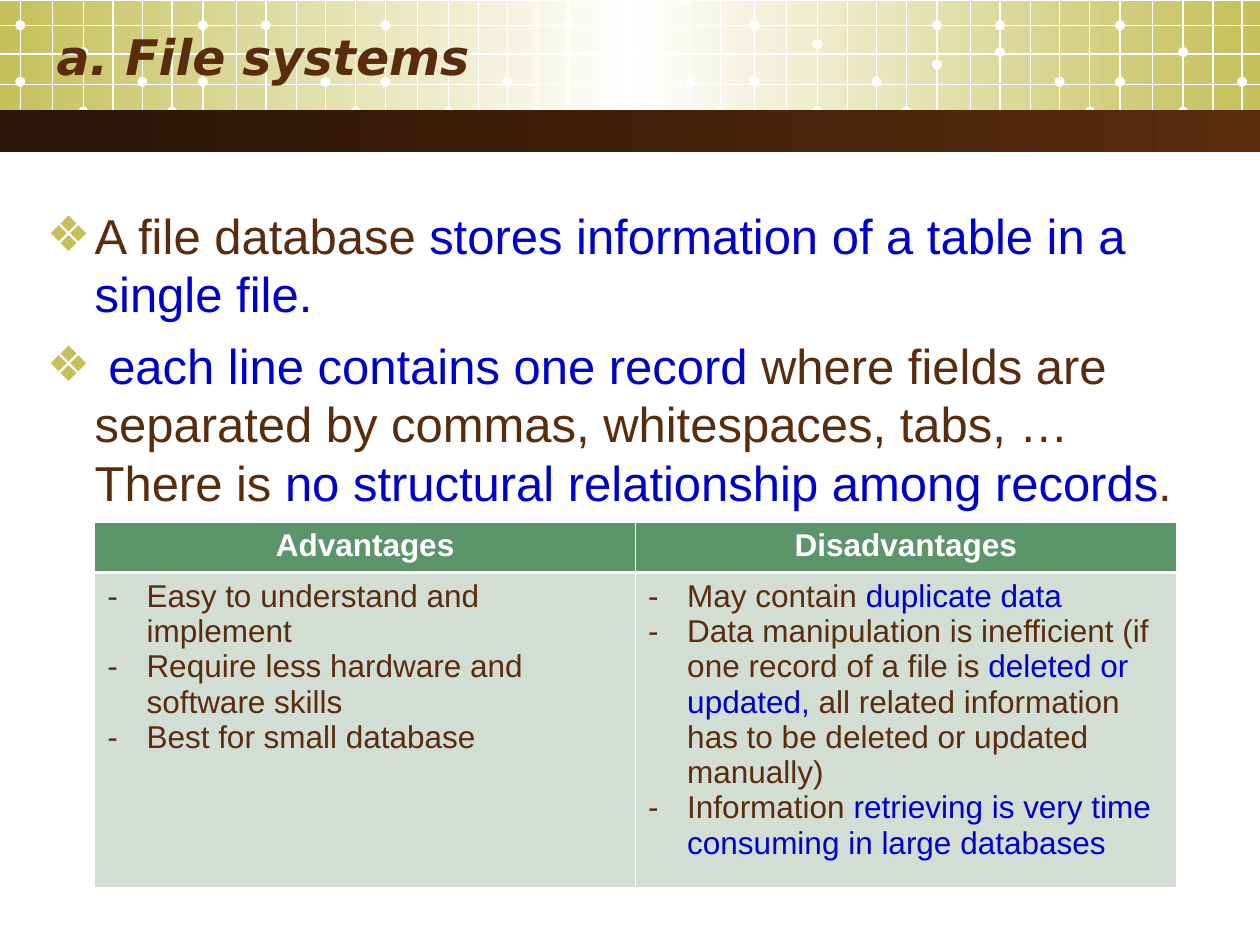
import copy
import pptx
import pptx.dml.color
import pptx.enum.shapes
import pptx.enum.text
import pptx.oxml
import pptx.oxml.ns
import pptx.util
from dataclasses import dataclass

Cm = pptx.util.Cm
Pt = pptx.util.Pt
ALIGN = pptx.enum.text.PP_ALIGN
SHAPE = pptx.enum.shapes.MSO_SHAPE


@dataclass(frozen=True)
class Theme:
    olive: str = "C5C059"
    white: str = "FFFFFF"
    dark: str = "291406"
    brown: str = "592C0D"
    blue: str = "0000CC"
    header: str = "5B9569"
    cell: str = "D2DDD4"
    title_font: str = "DejaVu Sans"
    body_font: str = "Arial"
    large: int = 28
    small: int = 18


theme = Theme()

TITLE = [[("a. File systems", theme.brown)]]
POINTS = [
    [("A file database ", theme.brown),
     ("stores information of a table in a single file.", theme.blue)],
    [(" each line contains one record ", theme.blue),
     ("where fields are separated by commas, whitespaces, tabs, … There is ", theme.brown),
     ("no structural relationship among records", theme.blue),
     (".", theme.brown)],
]
COLUMNS = {
    "Advantages": [
        [("Easy to understand and implement", theme.brown)],
        [("Require less hardware and software skills", theme.brown)],
        [("Best for small database", theme.brown)],
    ],
    "Disadvantages": [
        [("May contain ", theme.brown), ("duplicate data", theme.blue)],
        [("Data manipulation is inefficient (if one record of a file is ", theme.brown),
         ("deleted or updated,", theme.blue),
         (" all related information has to be deleted or updated manually)", theme.brown)],
        [("Information ", theme.brown),
         ("retrieving is very time consuming in large databases", theme.blue)],
    ],
}

WIDTH, HEIGHT = 25.4, 19.05
GRID_BOTTOM = 2.8
GRID_ROWS = [0.51, 1.09, 1.7, 2.26]
BLOCK_STARTS = [0.41, 7.77, 15.21, 22.58]
LINE_OFFSETS = [0, 0.65, 1.27, 1.87, 2.46, 3.06, 3.68, 4.36, 4.95, 5.56, 6.15, 6.76]
DOT_SIZE = 0.2
DOT_HEIGHTS = {0: [1.65, 0.51], 2: [1.05, 2.25], 4: [1.65], 5: [2.25],
               6: [1.09, 0.51], 8: [1.05, 0.51], 10: [1.65], 11: [2.25]}
DOT_EXCEPTIONS = {(0, 6): [1.65, 0.51], (2, 2): [0.89, 2.25], (2, 6): [1.3, 0.51]}


def rgb(color):
    return pptx.dml.color.RGBColor.from_string(color)


def drawing_xml(tag, attributes="", content=""):
    namespace = pptx.oxml.ns.nsdecls("a")
    return pptx.oxml.parse_xml(f"<a:{tag} {namespace} {attributes}>{content}</a:{tag}>")


def solid(color):
    return f'<a:solidFill><a:srgbClr val="{color}"/></a:solidFill>'


def write_text(frame, paragraphs, *, size, font=theme.body_font, bold=False, italic=False,
               align=ALIGN.LEFT, before=0, bullet=None, bullet_color=None, indent=0):
    frame.word_wrap = True
    for index, runs in enumerate(paragraphs):
        paragraph = frame.add_paragraph() if index else frame.paragraphs[0]
        paragraph.alignment = align
        paragraph.space_before = Pt(before)
        if bullet:
            properties = paragraph._p.get_or_add_pPr()
            properties.set("marL", str(Cm(indent)))
            properties.set("indent", str(-Cm(indent)))
            properties.append(drawing_xml("buClr", content=f'<a:srgbClr val="{bullet_color}"/>'))
            properties.append(drawing_xml("buFont", f'typeface="{font}"'))
            properties.append(drawing_xml("buChar", f'char="{bullet}"'))
        for text, color in runs:
            run = paragraph.add_run()
            run.text = text
            run.font.name = font
            run.font.size = Pt(size)
            run.font.bold = bold
            run.font.italic = italic
            run.font.color.rgb = rgb(color)


def add_plain_shape(slide, kind, left, top, width, height):
    shape = slide.shapes.add_shape(kind, Cm(left), Cm(top), Cm(width), Cm(height))
    shape.shadow.inherit = False
    shape.line.fill.background()
    return shape


def add_gradient_bar(slide, top, height, first, last, middle=None):
    bar = add_plain_shape(slide, SHAPE.RECTANGLE, 0, top, WIDTH, height)
    bar.fill.gradient()
    bar.fill.gradient_angle = 0
    stops = bar.fill.gradient_stops
    for stop, color, position in zip(stops, (first, last), (0, 1)):
        stop.color.rgb = rgb(color)
        stop.position = position
    if middle:
        first_stop = stops[0]._gs
        first_stop.addnext(copy.deepcopy(first_stop))
        center = bar.fill.gradient_stops[1]
        center.color.rgb = rgb(middle)
        center.position = 0.5


def add_grid_line(slide, start_x, start_y, end_x, end_y):
    line = slide.shapes.add_connector(pptx.enum.shapes.MSO_CONNECTOR.STRAIGHT,
                                      Cm(start_x), Cm(start_y), Cm(end_x), Cm(end_y))
    line.line.color.rgb = rgb(theme.white)
    line.line.width = Pt(0.74)
    line._element.spPr.append(drawing_xml("effectLst"))


def add_banner(slide):
    add_gradient_bar(slide, 0.03, 2.59, theme.olive, theme.olive, theme.white)
    for block, start in enumerate(BLOCK_STARTS):
        for column, offset in enumerate(LINE_OFFSETS):
            x = start + offset
            if x > WIDTH:
                break
            add_grid_line(slide, x, 0, x, GRID_BOTTOM)
            heights = DOT_EXCEPTIONS.get((block, column), DOT_HEIGHTS.get(column, []))
            for y in heights:
                dot = add_plain_shape(slide, SHAPE.OVAL, x - DOT_SIZE / 2, y - DOT_SIZE / 2,
                                      DOT_SIZE, DOT_SIZE)
                dot.fill.solid()
                dot.fill.fore_color.rgb = rgb(theme.white)
    for y in GRID_ROWS:
        add_grid_line(slide, 0, y, WIDTH, y)
    add_gradient_bar(slide, 2.22, 0.84, theme.dark, theme.brown)


def format_cell(cell, color, borders):
    cell.fill.solid()
    cell.fill.fore_color.rgb = rgb(color)
    properties = cell._tc.get_or_add_tcPr()
    for index, (side, width) in enumerate(borders.items()):
        border = drawing_xml(f"ln{side}", f'w="{Pt(width)}"', solid(theme.white))
        properties.insert(index, border)


def add_comparison(slide):
    frame = slide.shapes.add_table(2, len(COLUMNS), Cm(1.91), Cm(10.52), Cm(21.8), Cm(7.37))
    table = frame.table
    table.rows[0].height, table.rows[1].height = Cm(1.02), Cm(6.35)
    for index, (heading, items) in enumerate(COLUMNS.items()):
        table.columns[index].width = Cm(10.9)
        header, body = table.cell(0, index), table.cell(1, index)
        write_text(header.text_frame, [[(heading, theme.white)]], size=theme.small,
                   bold=True, align=ALIGN.CENTER)
        write_text(body.text_frame, items, size=theme.small, bullet="-",
                   bullet_color=theme.brown, indent=0.79)
        format_cell(header, theme.header, {"L": 0.45, "R": 0.45, "T": 0.45, "B": 1.47})
        format_cell(body, theme.cell, {"L": 0.45, "R": 0.45, "T": 1.47, "B": 0.45})


presentation = pptx.Presentation()
presentation.slide_width, presentation.slide_height = Cm(WIDTH), Cm(HEIGHT)
slide = presentation.slides.add_slide(presentation.slide_layouts[5])
add_banner(slide)

title = slide.shapes.title
title.left, title.top, title.width, title.height = Cm(0.89), Cm(0.13), Cm(23.22), Cm(2.01)
title.text_frame.vertical_anchor = pptx.enum.text.MSO_ANCHOR.MIDDLE
write_text(title.text_frame, TITLE, size=theme.large, font=theme.title_font, bold=True, italic=True)
slide.shapes._spTree.append(title._element)

points = slide.shapes.add_textbox(Cm(0.69), Cm(4.01), Cm(23.85), Cm(14.5))
write_text(points.text_frame, POINTS, size=theme.large, before=7,
           bullet="❖", bullet_color=theme.olive, indent=0.97)

add_comparison(slide)
presentation.save("out.pptx")
